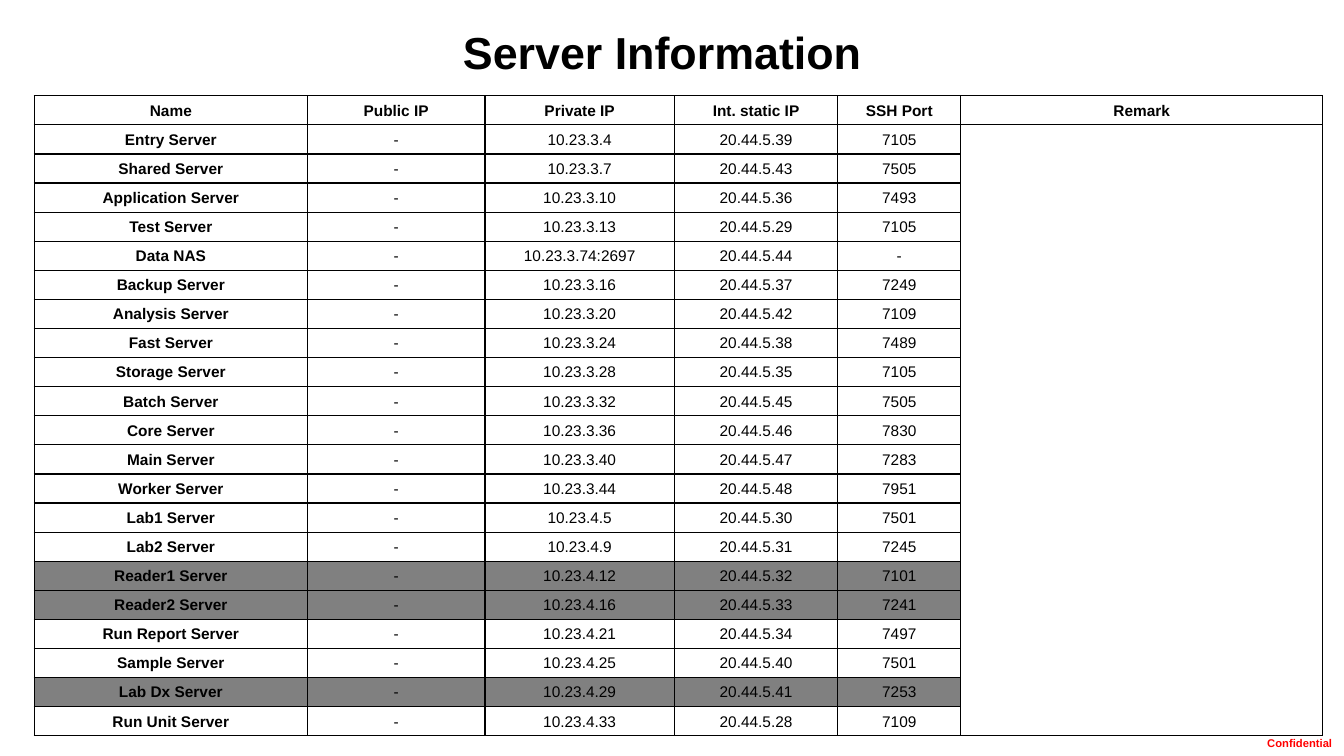
from lxml.etree import SubElement
from pptx import Presentation
from pptx.dml.color import RGBColor
from pptx.enum.text import MSO_ANCHOR, PP_ALIGN
from pptx.oxml.ns import qn
from pptx.util import Inches, Pt

BLACK = RGBColor(0x00, 0x00, 0x00)
RED = RGBColor(0xFF, 0x00, 0x00)
GRAY = RGBColor(0x80, 0x80, 0x80)
WHITE = RGBColor(0xFF, 0xFF, 0xFF)

HEADERS = ["Name", "Public IP", "Private IP", "Int. static IP", "SSH Port", "Remark"]
COL_WIDTHS = [2.71, 1.76, 1.88, 1.62, 1.22, 3.59]
SERVERS = [
    ("Entry Server", "3.4", 39, "7105"),
    ("Shared Server", "3.7", 43, "7505"),
    ("Application Server", "3.10", 36, "7493"),
    ("Test Server", "3.13", 29, "7105"),
    ("Data NAS", "3.74:2697", 44, "-"),
    ("Backup Server", "3.16", 37, "7249"),
    ("Analysis Server", "3.20", 42, "7109"),
    ("Fast Server", "3.24", 38, "7489"),
    ("Storage Server", "3.28", 35, "7105"),
    ("Batch Server", "3.32", 45, "7505"),
    ("Core Server", "3.36", 46, "7830"),
    ("Main Server", "3.40", 47, "7283"),
    ("Worker Server", "3.44", 48, "7951"),
    ("Lab1 Server", "4.5", 30, "7501"),
    ("Lab2 Server", "4.9", 31, "7245"),
    ("Reader1 Server", "4.12", 32, "7101"),
    ("Reader2 Server", "4.16", 33, "7241"),
    ("Run Report Server", "4.21", 34, "7497"),
    ("Sample Server", "4.25", 40, "7501"),
    ("Lab Dx Server", "4.29", 41, "7253"),
    ("Run Unit Server", "4.33", 28, "7109"),
]
GRAYED = {"Reader1 Server", "Reader2 Server", "Lab Dx Server"}


def write(tf, text, size, color, bold, align):
    tf.text = text
    p = tf.paragraphs[0]
    p.alignment = align
    for r in p.runs:
        r.font.name = "Arial"
        r.font.size = Pt(size)
        r.font.bold = bold
        r.font.color.rgb = color


def add_borders(cell):
    tc_pr = cell._tc.get_or_add_tcPr()
    for side in ("a:lnL", "a:lnR", "a:lnT", "a:lnB"):
        ln = SubElement(tc_pr, qn(side), w=str(Pt(1)))
        fill = SubElement(ln, qn("a:solidFill"))
        SubElement(fill, qn("a:srgbClr"), val=str(BLACK))


prs = Presentation()
prs.slide_width, prs.slide_height = Inches(13.33), Inches(7.5)
s = prs.slides.add_slide(prs.slide_layouts[6])

for text, box, size, color, align, wrap in [
    ("Server Information", (3.25, 0.2, 6.64, 0.64), 32, BLACK, PP_ALIGN.CENTER, True),
    ("Confidential", (12.47, 7.26, 0.85, 0.24), 8, RED, PP_ALIGN.LEFT, False),
]:
    tf = s.shapes.add_textbox(*map(Inches, box)).text_frame
    tf.word_wrap = wrap
    write(tf, text, size, color, True, align)

rows = [HEADERS] + [
    [name, "-", f"10.23.{private}", f"20.44.5.{static}", port, ""]
    for name, private, static, port in SERVERS
]
height = Inches(6.35)
table = s.shapes.add_table(
    len(rows), len(HEADERS), Inches(0.34), Inches(0.95), Inches(sum(COL_WIDTHS)), height
).table
table.first_row = table.horz_banding = False
for column, width in zip(table.columns, COL_WIDTHS):
    column.width = Inches(width)

for i, values in enumerate(rows):
    table.rows[i].height = height // len(rows)
    for j, value in enumerate(values):
        cell = table.cell(i, j)
        cell.margin_left = cell.margin_right = cell.margin_top = Inches(0.01)
        cell.margin_bottom = 0
        cell.vertical_anchor = MSO_ANCHOR.MIDDLE
        write(cell.text_frame, value, 11, BLACK, i == 0 or j == 0, PP_ALIGN.CENTER)
        if not value:
            p = cell.text_frame.paragraphs[0]
            p._p.get_or_add_endParaRPr().set("sz", "1100")
        add_borders(cell)
        cell.fill.solid()
        cell.fill.fore_color.rgb = GRAY if values[0] in GRAYED and value else WHITE

table.cell(1, 5).merge(table.cell(len(SERVERS), 5))

prs.save("out.pptx")
